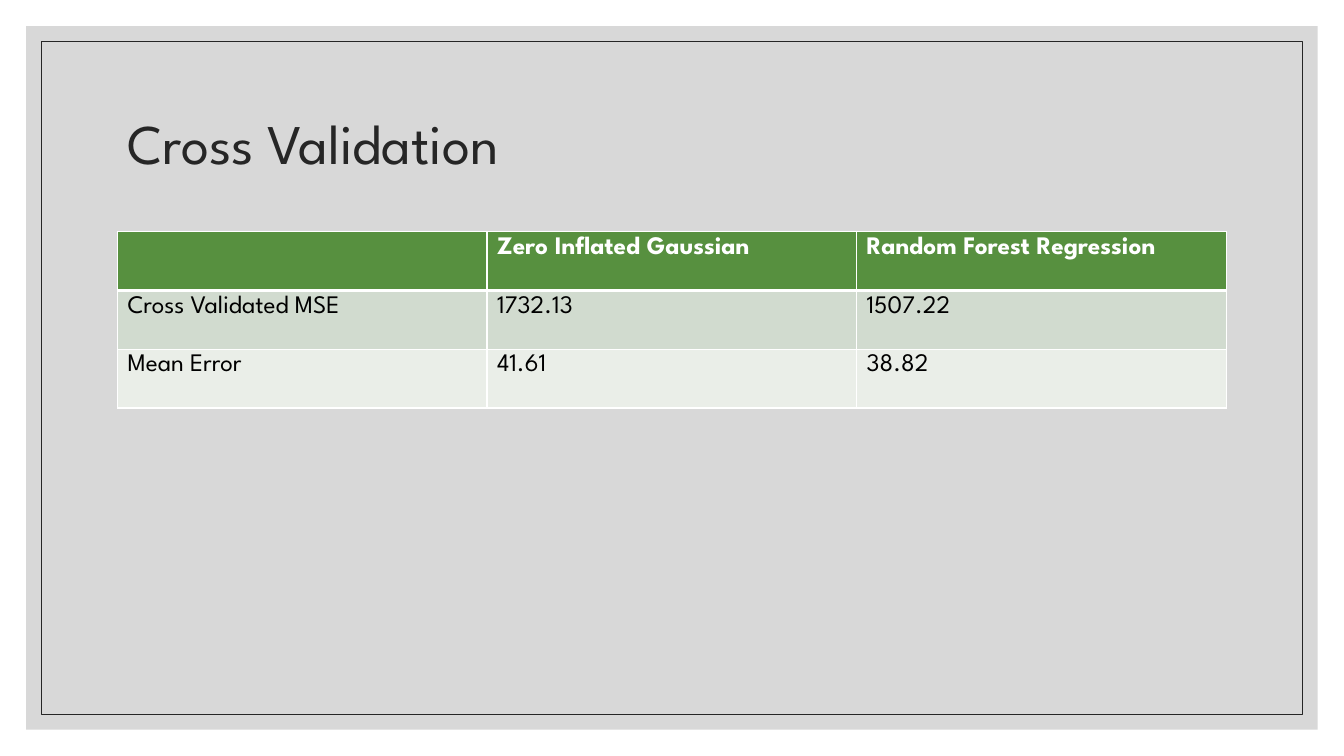
from dataclasses import dataclass

from lxml import etree
from pptx import Presentation
from pptx.dml.color import RGBColor
from pptx.enum.shapes import MSO_SHAPE
from pptx.enum.text import MSO_ANCHOR
from pptx.oxml.ns import qn
from pptx.util import Cm, Pt

RECTANGLE = MSO_SHAPE.RECTANGLE
MIDDLE = MSO_ANCHOR.MIDDLE

TITLE = "Cross Validation"
RESULTS = [
    ("", "Zero Inflated Gaussian", "Random Forest Regression"),
    ("Cross Validated MSE", "1732.13", "1507.22"),
    ("Mean Error", "41.61", "38.82"),
]


@dataclass(frozen=True)
class Theme:
    font: str = "League Spartan"
    title_size: int = 40
    table_size: int = 18
    ink: str = "262626"
    panel: str = "BFBFBF"
    panel_opacity: int = 60
    header_fill: str = "57903F"
    header_text: str = "FFFFFF"
    body_text: str = "000000"
    bands: tuple = ("D1DBCF", "EAEEE8")
    border: str = "FFFFFF"
    border_width: float = 1
    header_rule: float = 3


THEME = Theme()
PAGE_WIDTH, PAGE_HEIGHT = 33.87, 19.05
PANEL_MARGIN, FRAME_MARGIN = 0.66, 1.04
CONTENT_LEFT, CONTENT_WIDTH = 2.96, 27.94
TITLE_TOP, TITLE_HEIGHT = 1.78, 3.81
TABLE_TOP, ROW_HEIGHT = 5.84, 1.48


def add_inset_rectangle(page, margin):
    shape = page.shapes.add_shape(
        RECTANGLE, Cm(margin), Cm(margin),
        Cm(PAGE_WIDTH - 2 * margin), Cm(PAGE_HEIGHT - 2 * margin))
    shape.shadow.inherit = False
    return shape


def add_background(page):
    panel = add_inset_rectangle(page, PANEL_MARGIN)
    panel.fill.solid()
    panel.fill.fore_color.rgb = RGBColor.from_string(THEME.panel)
    panel.line.fill.background()
    color = next(panel.element.spPr.iter(qn("a:srgbClr")))
    etree.SubElement(color, qn("a:alpha"), val=str(THEME.panel_opacity * 1000))

    frame = add_inset_rectangle(page, FRAME_MARGIN)
    frame.fill.background()
    frame.line.color.rgb = RGBColor.from_string(THEME.ink)
    frame.line.width = Pt(0.5)


def add_span(para, text, size, color, bold=False):
    span = para.add_run()
    span.text = text
    span.font.name = THEME.font
    span.font.size = Pt(size)
    span.font.bold = bold
    span.font.color.rgb = RGBColor.from_string(color)


def add_title(page):
    box = page.shapes.add_textbox(
        Cm(CONTENT_LEFT), Cm(TITLE_TOP), Cm(CONTENT_WIDTH), Cm(TITLE_HEIGHT))
    box.text_frame.word_wrap = True
    box.text_frame.vertical_anchor = MIDDLE
    para = box.text_frame.paragraphs[0]
    para.line_spacing = 0.9
    add_span(para, TITLE, THEME.title_size, THEME.ink)


def set_borders(cell, top, bottom):
    """Draw all four cell edges; top and bottom are widths in points."""
    properties = cell._tc.get_or_add_tcPr()
    side = THEME.border_width
    for tag, width in (("lnL", side), ("lnR", side), ("lnT", top), ("lnB", bottom)):
        line = etree.SubElement(properties, qn("a:" + tag), w=str(Pt(width)))
        fill = etree.SubElement(line, qn("a:solidFill"))
        etree.SubElement(fill, qn("a:srgbClr"), val=THEME.border)


def add_results(page):
    columns = len(RESULTS[0])
    table = page.shapes.add_table(
        len(RESULTS), columns, Cm(CONTENT_LEFT), Cm(TABLE_TOP),
        Cm(CONTENT_WIDTH), Cm(ROW_HEIGHT * len(RESULTS))).table
    for column in table.columns:
        column.width = Cm(CONTENT_WIDTH / columns)

    for row, values in enumerate(RESULTS):
        header = row == 0
        fill = THEME.header_fill if header else THEME.bands[(row - 1) % 2]
        color = THEME.header_text if header else THEME.body_text
        top = THEME.header_rule if row == 1 else THEME.border_width
        bottom = THEME.header_rule if header else THEME.border_width
        table.rows[row].height = Cm(ROW_HEIGHT)
        for column, value in enumerate(values):
            cell = table.cell(row, column)
            set_borders(cell, top, bottom)
            cell.fill.solid()
            cell.fill.fore_color.rgb = RGBColor.from_string(fill)
            if value:
                add_span(cell.text_frame.paragraphs[0], value,
                         THEME.table_size, color, bold=header)


def main():
    deck = Presentation()
    deck.slide_width, deck.slide_height = Cm(PAGE_WIDTH), Cm(PAGE_HEIGHT)
    page = deck.slides.add_slide(deck.slide_layouts[6])
    add_background(page)
    add_title(page)
    add_results(page)
    deck.save("out.pptx")


if __name__ == "__main__":
    main()
